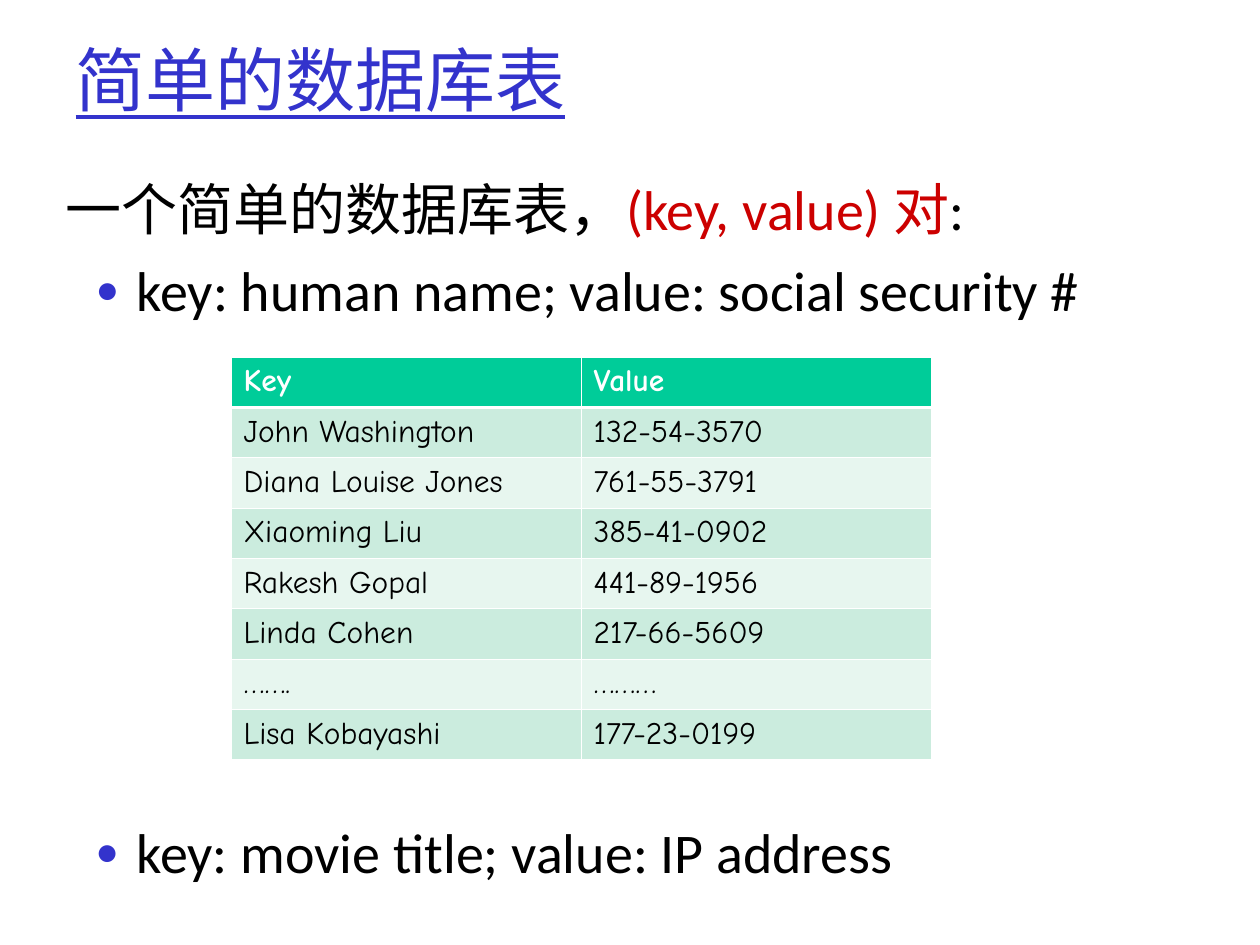
from lxml import etree
from pptx import Presentation
from pptx.dml.color import RGBColor
from pptx.enum.text import MSO_ANCHOR, MSO_AUTO_SIZE, PP_ALIGN
from pptx.oxml.ns import qn
from pptx.util import Emu, Pt

PX = 914400 // 126
BLACK = RGBColor(0x00, 0x00, 0x00)
WHITE = RGBColor(0xFF, 0xFF, 0xFF)
BLUE = RGBColor(0x33, 0x33, 0xCC)
RED = RGBColor(0xCC, 0x00, 0x00)
GREEN = RGBColor(0x00, 0xCC, 0x99)
DARK_BAND = RGBColor(0xCB, 0xEC, 0xDE)
LIGHT_BAND = RGBColor(0xE7, 0xF6, 0xEF)
LATIN, CJK, HAND = "Calibri", "Noto Sans CJK SC", "Comic Neue"

RECORDS = [
    ("Key", "Value"),
    ("John Washington", "132-54-3570"),
    ("Diana Louise Jones", "761-55-3791"),
    ("Xiaoming Liu", "385-41-0902"),
    ("Rakesh Gopal", "441-89-1956"),
    ("Linda Cohen", "217-66-5609"),
    ("…….", "………"),
    ("Lisa Kobayashi", "177-23-0199"),
]


def px(length):
    return Emu(length * PX)


def add_text(paragraph, text, size=32, font=LATIN, color=BLACK, bold=False, underline=False):
    run = paragraph.add_run()
    run.text = text
    run.font.size = Pt(size)
    run.font.name = font
    run.font.bold = bold
    run.font.underline = underline
    run.font.color.rgb = color
    east_asian = etree.SubElement(run.font._element, qn("a:ea"))
    east_asian.set("typeface", CJK)


def set_bullet(paragraph, margin=0, hanging=0):
    """Give the paragraph a blue bullet, or none when there is no margin."""
    properties = paragraph._p.get_or_add_pPr()
    properties.set("marL", str(px(margin)))
    properties.set("indent", str(px(-hanging)))
    if not margin:
        etree.SubElement(properties, qn("a:buNone"))
        return
    color = etree.SubElement(properties, qn("a:buClr"))
    etree.SubElement(color, qn("a:srgbClr"), val=str(BLUE))
    etree.SubElement(properties, qn("a:buSzPct"), val="85000")
    etree.SubElement(properties, qn("a:buFont"), typeface=LATIN)
    etree.SubElement(properties, qn("a:buChar"), char="•")


def add_bullet(paragraph, text):
    set_bullet(paragraph, margin=71, hanging=41)
    add_text(paragraph, text)


def place(shape, left, top, width, height, anchor=MSO_ANCHOR.TOP):
    shape.left, shape.top, shape.width, shape.height = map(px, (left, top, width, height))
    frame = shape.text_frame
    frame.word_wrap = True
    frame.auto_size = MSO_AUTO_SIZE.NONE
    frame.vertical_anchor = anchor
    return frame


def set_borders(cell, **widths):
    """Draw white borders; widths in points by side: L, R, T, B."""
    properties = cell._tc.get_or_add_tcPr()
    for index, (side, width) in enumerate(widths.items()):
        line = etree.Element(qn(f"a:ln{side}"), w=str(Pt(width)))
        fill = etree.SubElement(line, qn("a:solidFill"))
        etree.SubElement(fill, qn("a:srgbClr"), val=str(WHITE))
        properties.insert(index, line)


def add_records(slide, left, top, width, height):
    frame = slide.shapes.add_table(len(RECORDS), 2, px(left), px(top), px(width), px(height))
    for row, record in enumerate(RECORDS):
        header = row == 0
        band = GREEN if header else DARK_BAND if row % 2 else LIGHT_BAND
        for column, text in enumerate(record):
            cell = frame.table.cell(row, column)
            cell.fill.solid()
            cell.fill.fore_color.rgb = band
            set_borders(cell, L=0.45, R=0.45, T=1.47 if row == 1 else 0.45,
                        B=1.47 if header else 0.45)
            add_text(cell.text_frame.paragraphs[0], text, size=18, font=HAND,
                     color=WHITE if header else BLACK, bold=header)


def main():
    presentation = Presentation()
    presentation.slide_width, presentation.slide_height = px(1260), px(945)
    slide = presentation.slides.add_slide(presentation.slide_layouts[1])

    title = place(slide.shapes.title, 63, 0, 1134, 157, MSO_ANCHOR.MIDDLE).paragraphs[0]
    title.alignment = PP_ALIGN.LEFT
    add_text(title, "简单的数据库表", size=40, font=CJK, color=BLUE, underline=True)

    body = place(slide.placeholders[1], 53, 168, 1207, 160)
    intro = body.paragraphs[0]
    intro.space_before = Pt(0)
    set_bullet(intro)
    add_text(intro, "一个简单的数据库表，")
    add_text(intro, "(key, value) 对", color=RED)
    add_text(intro, ":")
    example = body.add_paragraph()
    example.space_before = Pt(8)
    add_bullet(example, "key: human name; value: social security #")

    add_records(slide, 231, 357, 700, 403)

    second_example = place(slide.shapes.add_textbox(0, 0, 0, 0), 53, 811, 1207, 80)
    add_bullet(second_example.paragraphs[0], "key: movie title; value: IP address")

    presentation.save("out.pptx")


if __name__ == "__main__":
    main()
